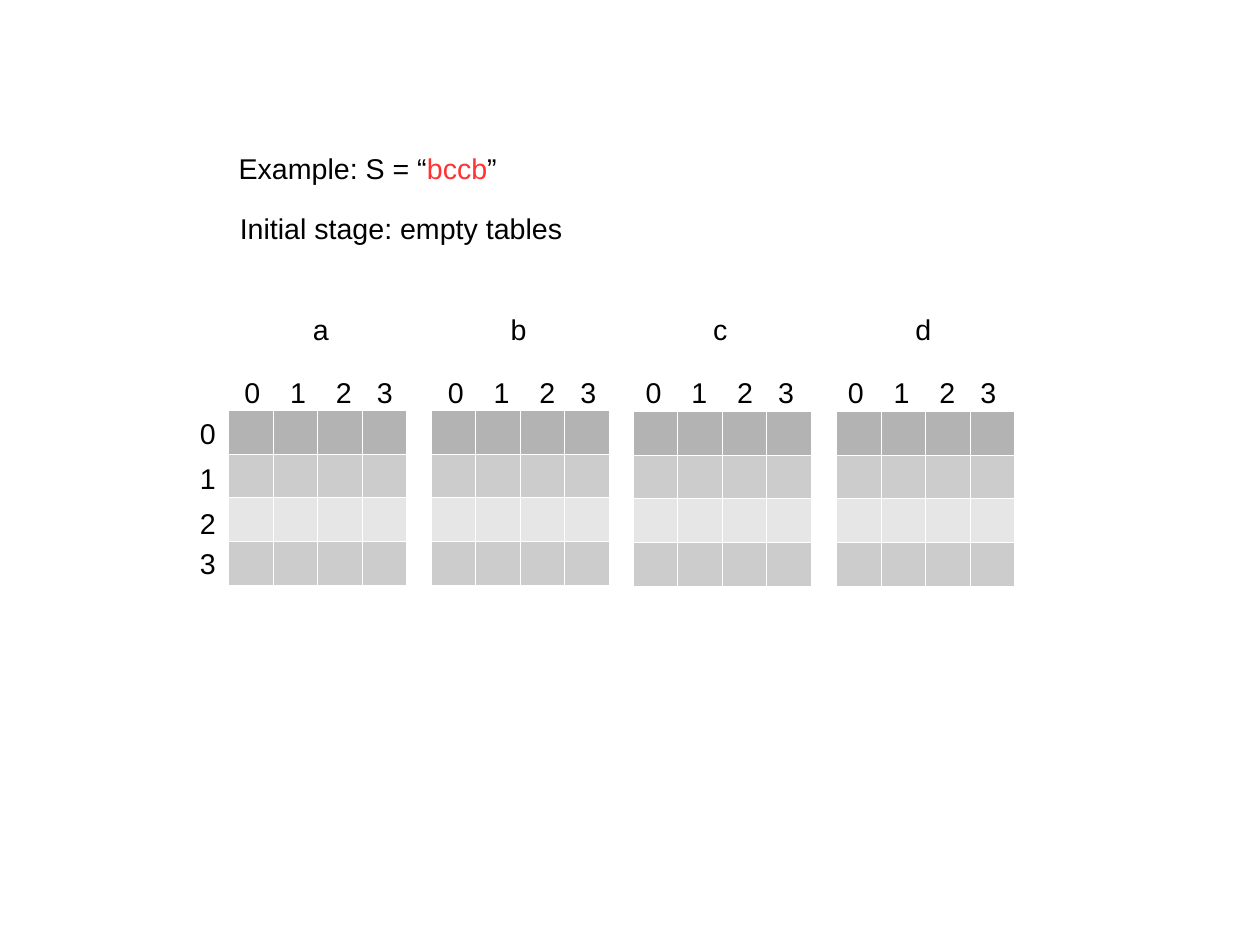
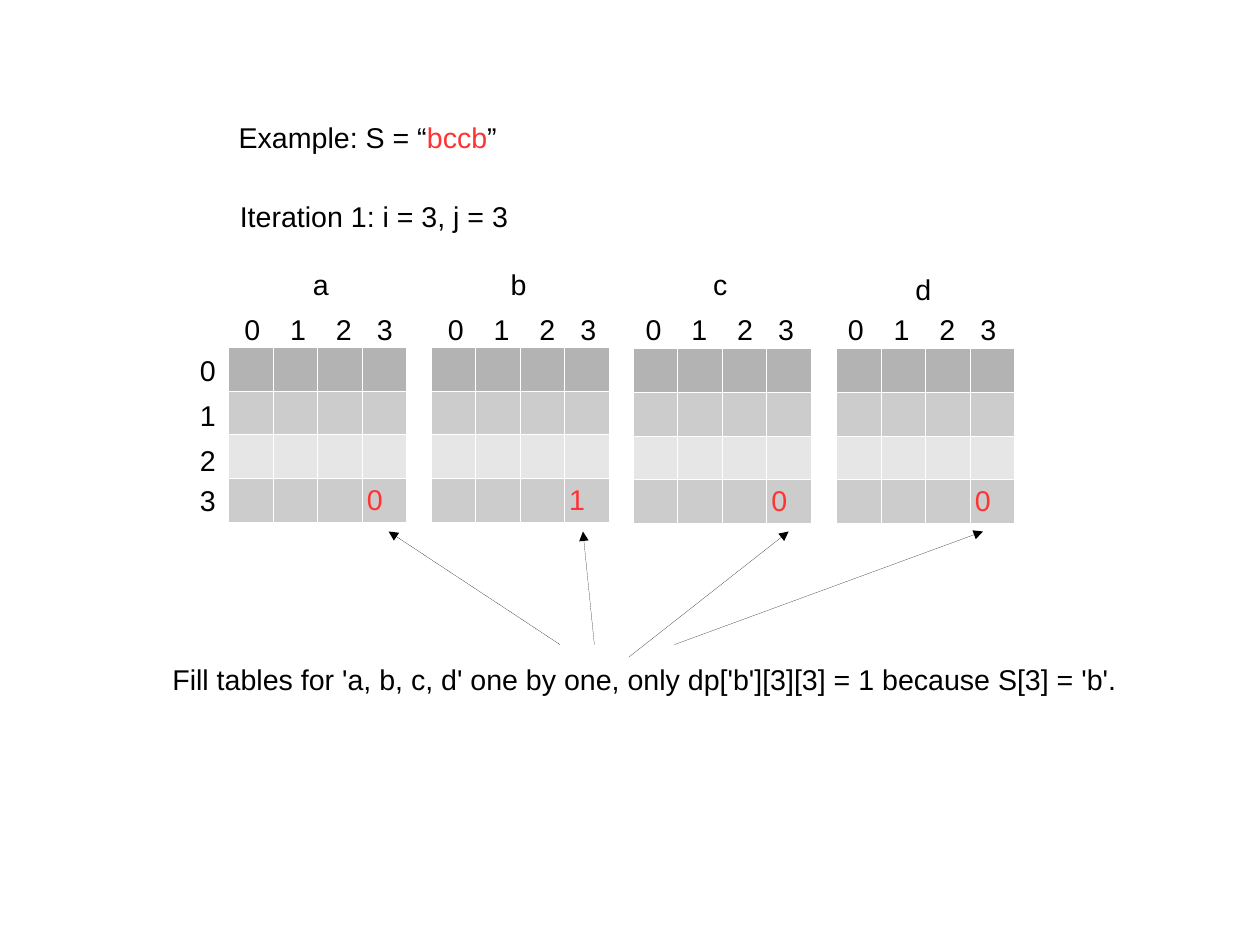
"""Build two slides that show the first steps of a four-table dynamic programme."""
from collections import namedtuple

from lxml import etree
from pptx import Presentation
from pptx import util as u
from pptx.dml.color import RGBColor
from pptx.enum import shapes, text
from pptx.oxml.ns import qn

COLORS = {
    "ink": "000000", "accent": "FF3333", "border": "FFFFFF",
    "head": "B3B3B3", "dark": "CCCCCC", "light": "E6E6E6",
}
FONT, SIZE = "Arial", u.Pt(18)
ROW_FILLS = ("head", "dark", "light", "dark")
LABEL_W, LINE_H = 0.4, 0.38
TABLE_W, TABLE_H = 1.56, 1.53
COLUMN_STEPS = (0, 0.4, 0.8, 1.16)
ROW_STEPS = (0, 0.39, 0.79, 1.14)

Grid = namedtuple("Grid", "letter letter_left left labels_left drop")
GRIDS = (
    Grid("a", 2.64, 2, 2.04, 0),
    Grid("b", 4.37, 3.77, 3.82, 0),
    Grid("c", 6.14, 5.54, 5.55, 0.01),
    Grid("d", 7.91, 7.32, 7.32, 0.01),
)


def rgb(name):
    return RGBColor.from_string(COLORS[name])


def style(p):
    p.font.name, p.font.size = FONT, SIZE


def add_text(s, left, top, width, *parts):
    box = s.shapes.add_textbox(*map(u.Inches, (left, top, width, LINE_H)))
    tf = box.text_frame
    tf.word_wrap = True
    tf.auto_size = text.MSO_AUTO_SIZE.SHAPE_TO_FIT_TEXT
    p = tf.paragraphs[0]
    style(p)
    for words, color in parts:
        r = p.add_run()
        r.text = words
        r.font.color.rgb = rgb(color)


def add_label(s, left, top, words):
    add_text(s, left, top, LABEL_W, (words, "ink"))


def add_example(s, top):
    add_text(s, 1.99, top, 2.5,
             ("Example: S = “", "ink"), ("bccb", "accent"), ("”", "ink"))


def format_cell(cell, fill):
    cell.margin_left = cell.margin_right = u.Inches(0.04)
    cell.margin_top, cell.margin_bottom = u.Inches(0.05), u.Inches(0.03)
    props = cell._tc.get_or_add_tcPr()
    for side in ("a:lnL", "a:lnR", "a:lnT", "a:lnB"):
        ln = etree.SubElement(props, qn(side), w=str(u.Pt(0.57)))
        solid = etree.SubElement(ln, qn("a:solidFill"))
        etree.SubElement(solid, qn("a:srgbClr"), val=COLORS["border"])
    cell.fill.solid()
    cell.fill.fore_color.rgb = rgb(fill)
    style(cell.text_frame.paragraphs[0])


def add_grid_table(s, left, top, value):
    frame = s.shapes.add_table(
        4, 4, *map(u.Inches, (left, top, TABLE_W, TABLE_H)))
    table = frame.table
    table.first_row = table.horz_banding = False
    for row, fill in zip(table.rows, ROW_FILLS):
        for cell in row.cells:
            format_cell(cell, fill)
    if value:
        p = table.cell(3, 3).text_frame.paragraphs[0]
        p.add_run().text = value
        p.font.color.rgb = rgb("accent")


def add_grids(s, top, letter_tops, values):
    for grid, letter_top, value in zip(GRIDS, letter_tops, values):
        add_grid_table(s, grid.left, top + grid.drop, value)
        add_label(s, grid.letter_left, letter_top, grid.letter)
        for i, step in enumerate(COLUMN_STEPS):
            add_label(s, grid.labels_left + step, top - 0.36, str(i))
    for i, step in enumerate(ROW_STEPS):
        add_label(s, 1.65, top + step, str(i))


def add_arrow(s, x1, y1, x2, y2):
    line = s.shapes.add_connector(
        shapes.MSO_CONNECTOR.STRAIGHT, *map(u.Inches, (x1, y1, x2, y2)))
    line.line.color.rgb = rgb("ink")
    ln = line.line._get_or_add_ln()
    ln.set("w", "0")
    etree.SubElement(ln, qn("a:tailEnd"), type="triangle")
    etree.SubElement(line._element.spPr, qn("a:effectLst"))


def build_initial(s):
    add_example(s, 1.27)
    add_text(s, 2, 1.8, 4.1, ("Initial stage: empty tables", "ink"))
    add_grids(s, 3.59, [2.68] * 4, [""] * 4)


def build_iteration(s):
    add_example(s, 1)
    add_text(s, 2, 1.69, 4.1, ("Iteration 1: i = 3, j = 3", "ink"))
    add_grids(s, 3.04, (2.29, 2.29, 2.29, 2.33), "0100")
    for x1, y1, x2 in ((4.9, 5.64, 3.4), (5.2, 5.64, 5.1),
                       (5.5, 5.75, 6.9), (5.9, 5.64, 8.6)):
        add_arrow(s, x1, y1, x2, 4.65)
    add_text(s, 1.41, 5.74, 8.5,
             ("Fill tables for 'a, b, c, d' one by one, "
              "only dp['b'][3][3] = 1 because S[3] = 'b'.", "ink"))


def main():
    prs = Presentation()
    prs.slide_width = u.Cm(28)
    prs.slide_height = u.Cm(21)
    blank = prs.slide_layouts[6]
    build_initial(prs.slides.add_slide(blank))
    build_iteration(prs.slides.add_slide(blank))
    prs.save("out.pptx")


if __name__ == "__main__":
    main()
